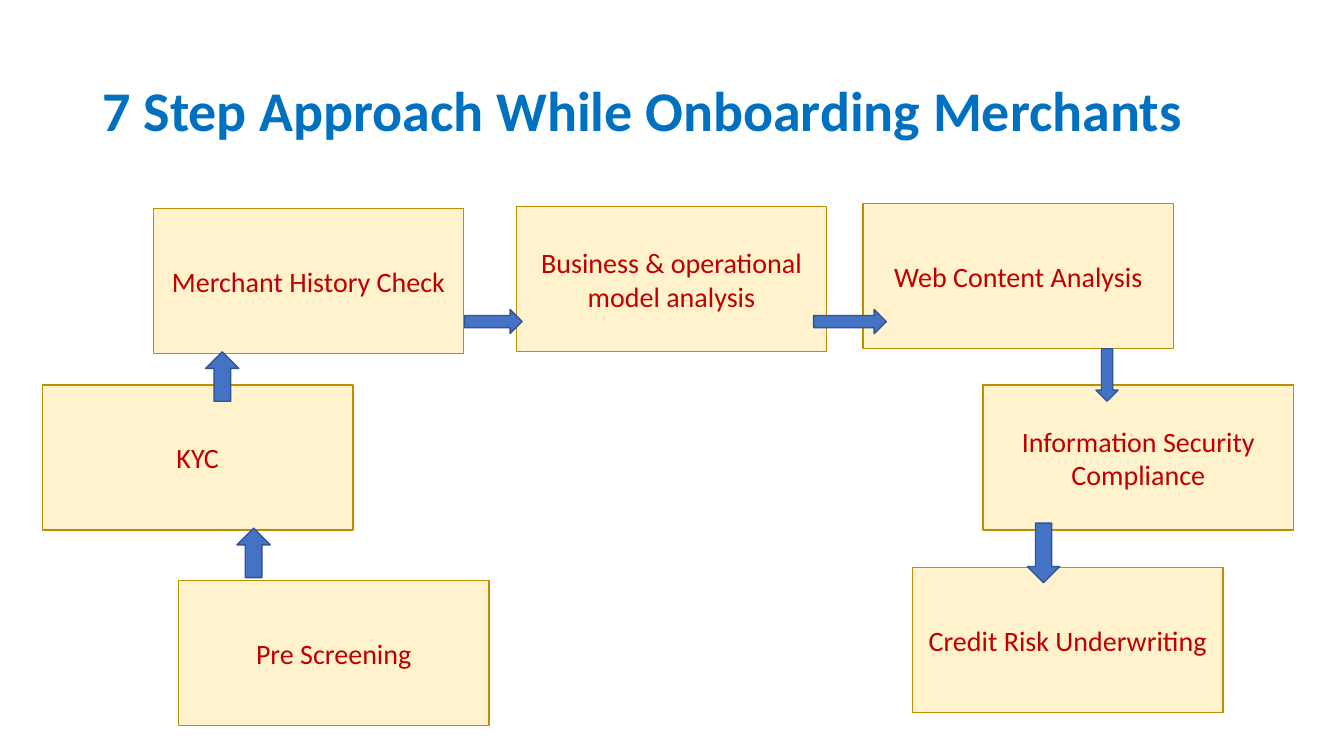
from pptx import Presentation
from pptx.dml.color import RGBColor
from pptx.enum.shapes import MSO_SHAPE
from pptx.enum.text import MSO_ANCHOR, PP_ALIGN
from pptx.util import Inches, Pt

STEP_WIDTH, STEP_HEIGHT = 3.08, 1.44

STEPS = [
    ("Pre Screening", 1.77, 5.76),
    ("Credit Risk Underwriting", 9.05, 5.63),
    ("Information Security Compliance", 9.75, 3.82),
    ("KYC", 0.42, 3.82),
    ("Merchant History Check", 1.52, 2.07),
    ("Business & operational model analysis", 5.12, 2.05),
    ("Web Content Analysis", 8.56, 2.02),
]

ARROWS = [
    (MSO_SHAPE.UP_ARROW, 2.35, 5.24, 0.33, 0.49),
    (MSO_SHAPE.UP_ARROW, 2.04, 3.49, 0.33, 0.49),
    (MSO_SHAPE.DOWN_ARROW, 10.19, 5.19, 0.32, 0.59),
    (MSO_SHAPE.DOWN_ARROW, 10.87, 3.46, 0.22, 0.52),
    (MSO_SHAPE.RIGHT_ARROW, 4.61, 3.07, 0.57, 0.24),
    (MSO_SHAPE.RIGHT_ARROW, 8.07, 3.07, 0.72, 0.24),
]


def color(hex_code):
    return RGBColor.from_string(hex_code)


def write_text(shape, text, *, size, hex_code, bold=False,
               align=PP_ALIGN.LEFT, line_spacing=1.0):
    frame = shape.text_frame
    frame.word_wrap = True
    frame.vertical_anchor = MSO_ANCHOR.MIDDLE
    paragraph = frame.paragraphs[0]
    paragraph.alignment = align
    paragraph.line_spacing = line_spacing
    run = paragraph.add_run()
    run.text = text
    run.font.name = "Calibri"
    run.font.size = Pt(size)
    run.font.bold = bold
    run.font.color.rgb = color(hex_code)


def add_block(slide, kind, left, top, width, height, *, fill, line):
    block = slide.shapes.add_shape(
        kind, Inches(left), Inches(top), Inches(width), Inches(height))
    block.shadow.inherit = False
    block.fill.solid()
    block.fill.fore_color.rgb = color(fill)
    block.line.color.rgb = color(line)
    block.line.width = Pt(1)
    return block


def add_title(slide, text):
    title = slide.shapes.add_textbox(
        Inches(0.92), Inches(0.4), Inches(11.5), Inches(1.45))
    write_text(title, text, size=40, hex_code="0070C0", bold=True,
               line_spacing=0.9)


def add_step(slide, text, left, top):
    step = add_block(slide, MSO_SHAPE.RECTANGLE, left, top,
                     STEP_WIDTH, STEP_HEIGHT, fill="FFF2CC", line="BD8E00")
    write_text(step, text, size=20, hex_code="C00000",
               align=PP_ALIGN.CENTER)


def main():
    deck = Presentation()
    deck.slide_width, deck.slide_height = Inches(13.33), Inches(7.5)
    slide = deck.slides.add_slide(deck.slide_layouts[6])

    # Title
    add_title(slide, "7 Step Approach While Onboarding Merchants")

    # Seven steps
    for text, left, top in STEPS:
        add_step(slide, text, left, top)

    # Arrows from step to step
    for arrow in ARROWS:
        add_block(slide, *arrow, fill="4472C4", line="325491")

    deck.save("out.pptx")


if __name__ == "__main__":
    main()
